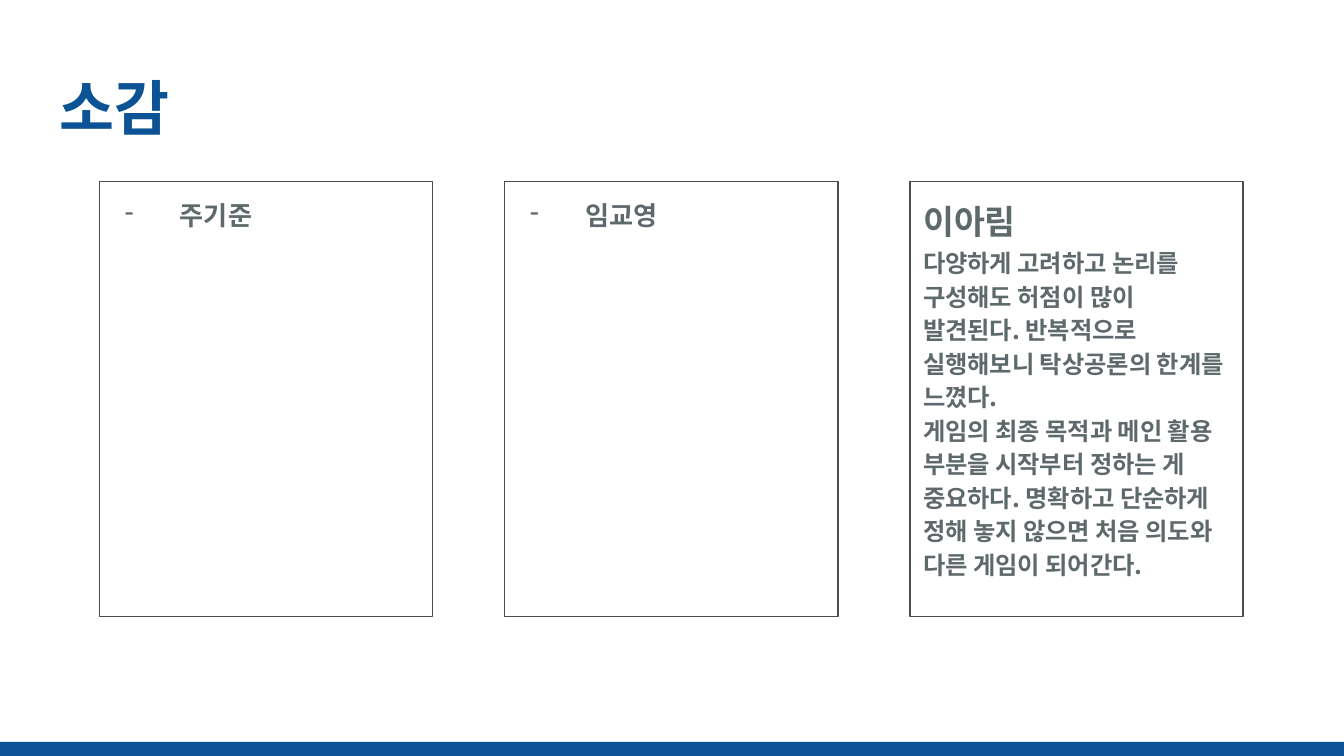
"""Build the slide of closing remarks by three team members."""
import pptx
import pptx.dml.color
import pptx.enum.shapes
import pptx.enum.text
import pptx.oxml.ns
import pptx.util
from lxml import etree

Inches, Pt = pptx.util.Inches, pptx.util.Pt
qn = pptx.oxml.ns.qn
FONT, BLUE, GREY, EDGE = "Noto Sans CJK KR", "0B5394", "5E696C", "464E51"
TITLE = "소감"
CARDS = [
    {"name": "주기준", "size": 14, "notes": []},
    {"name": "임교영", "size": 14, "notes": []},
    {"name": "이아림", "size": 18, "notes": [
        "다양하게 고려하고 논리를 구성해도 허점이 많이 발견된다. "
        "반복적으로 실행해보니 탁상공론의 한계를 느꼈다.",
        "게임의 최종 목적과 메인 활용 부분을 시작부터 정하는 게 중요하다. "
        "명확하고 단순하게 정해 놓지 않으면 처음 의도와 다른 게임이 되어간다.",
    ]},
]
FIRST, LAST, TOP, WIDE, HIGH = 0.74, 6.77, 1.35, 2.48, 3.24


def paint(color, code):
    color.rgb = pptx.dml.color.RGBColor.from_string(code)


def style(para, size, code):
    para.alignment = pptx.enum.text.PP_ALIGN.LEFT
    font = para.font
    font.size, font.bold, font.name = Pt(size), True, FONT
    font.fill.solid()
    paint(font.fill.fore_color, code)
    props = para._p.pPr.find(qn("a:defRPr"))
    etree.SubElement(props, qn("a:ea"), typeface=FONT)


def frame(shape, right):
    text = shape.text_frame
    text.word_wrap = True
    text.auto_size = pptx.enum.text.MSO_AUTO_SIZE.NONE
    text.vertical_anchor = pptx.enum.text.MSO_ANCHOR.TOP
    text.margin_left = text.margin_top = text.margin_bottom = Inches(0.1)
    text.margin_right = Inches(right)
    return text


def box(slide, *place):
    shape = slide.shapes.add_shape(
        pptx.enum.shapes.MSO_SHAPE.RECTANGLE, *map(Inches, place))
    shape.shadow.inherit = False
    return shape


def dash(para):
    props = para._p.get_or_add_pPr()
    props.set("marL", str(Inches(0.5)))
    props.set("indent", str(-Inches(0.41)))
    tint = etree.SubElement(props, qn("a:buClr"))
    etree.SubElement(tint, qn("a:srgbClr"), val=GREY)
    etree.SubElement(props, qn("a:buChar"), char="-")


def card(slide, left, data):
    shape = box(slide, left, TOP, WIDE, HIGH)
    shape.fill.background()
    paint(shape.line.color, EDGE)
    shape.line.width = Pt(0.75)
    text = frame(shape, 0.13)
    lines = [data["name"], *data["notes"]]
    text.text = "\n".join(lines)
    for rank, para in enumerate(text.paragraphs):
        para.line_spacing = 1.15
        if rank == 1:
            para.space_before = Pt(1.5)
        if not data["notes"]:
            dash(para)
        style(para, 13 if rank else data["size"], GREY)


def main():
    deck = pptx.Presentation()
    deck.slide_width = Inches(10)
    deck.slide_height = deck.slide_width * 9 // 16
    slide = deck.slides.add_slide(deck.slide_layouts[5])

    bar = box(slide, 0, 5.52, 10, 0.11)
    bar.fill.solid()
    paint(bar.fill.fore_color, BLUE)
    bar.line.fill.background()

    title = slide.shapes.title
    title.left, title.top = Inches(0.34), Inches(0.43)
    title.width, title.height = Inches(9.32), Inches(0.68)
    text = frame(title, 0.1)
    text.text = TITLE
    style(text.paragraphs[0], 32, BLUE)

    step = (LAST - FIRST) / (len(CARDS) - 1)
    for rank, data in enumerate(CARDS):
        card(slide, FIRST + rank * step, data)
    deck.save("out.pptx")


if __name__ == "__main__":
    main()
